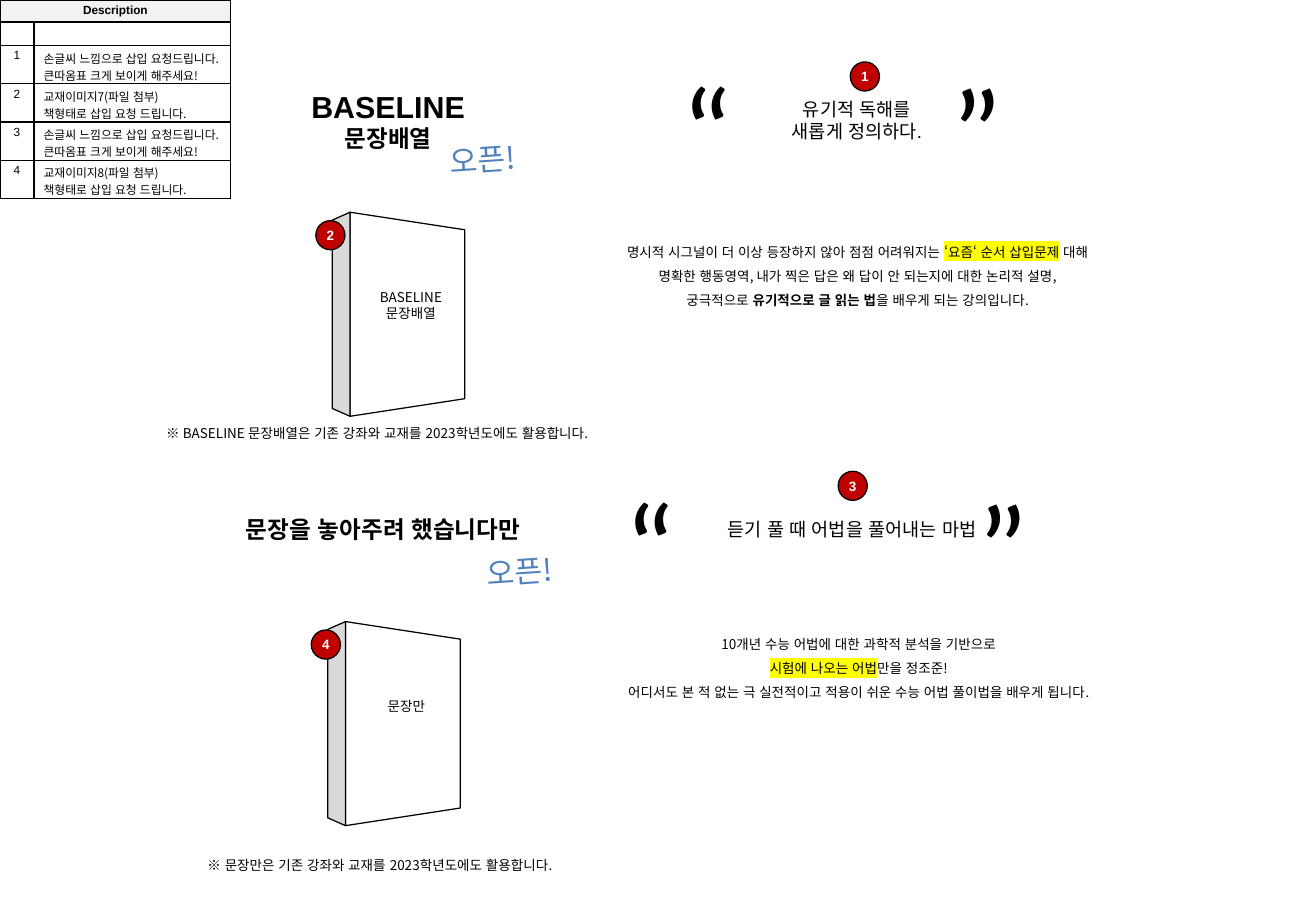
import pptx
import pptx.dml.color
import pptx.enum.lang
import pptx.enum.shapes
import pptx.enum.text
import pptx.oxml.ns
import pptx.util
from lxml import etree

Pt = pptx.util.Pt
RGB = pptx.dml.color.RGBColor
SHAPE = pptx.enum.shapes.MSO_SHAPE
ALIGN = pptx.enum.text.PP_ALIGN
qn = pptx.oxml.ns.qn

BLACK, WHITE = RGB(0, 0, 0), RGB(255, 255, 255)
RED, BLUE, YELLOW = RGB(0xC0, 0, 0), RGB(0x4F, 0x81, 0xBD), RGB(255, 255, 0)
GREY, PALE = RGB(0xD9, 0xD9, 0xD9), RGB(0xF2, 0xF2, 0xF2)
KOREAN = "Noto Sans CJK KR"
ROW_STEP = 242.64
QUOTE_NOTE = "손글씨 느낌으로 삽입 요청드립니다.\n큰따옴표 크게 보이게 해주세요!"
BOOK_NOTE = "교재이미지{}(파일 첨부)\n책형태로 삽입 요청 드립니다."
NOTES = [QUOTE_NOTE, BOOK_NOTE.format(7), QUOTE_NOTE, BOOK_NOTE.format(8)]


def style_run(r, size, font=KOREAN, color=BLACK, bold=False, highlight=None):
    """Set the fonts, colour, language and highlight of a run."""
    r.font.size, r.font.name, r.font.bold = Pt(size), font, bold
    r.font.color.rgb = color
    if font != "Calibri":
        r.font.language_id = pptx.enum.lang.MSO_LANGUAGE_ID.KOREAN
    latin = r.font._element.find(qn("a:latin"))
    latin.addnext(etree.Element(qn("a:ea"), typeface=KOREAN if font == "Arial" else font))
    if highlight is not None:
        mark = etree.Element(qn("a:highlight"))
        etree.SubElement(mark, qn("a:srgbClr"), val=str(highlight))
        latin.addprevious(mark)


def format_text(tf, size, align=ALIGN.CENTER, spacing=None, **style):
    """Format every paragraph and run of a text frame."""
    for p in tf.paragraphs:
        p.alignment, p.line_spacing = align, spacing
        for r in p.runs:
            style_run(r, size, **style)


def set_insets(target, left=0, top=0, right=0, bottom=0):
    """Set the inner margins of a text frame or table cell."""
    target.margin_left, target.margin_top = Pt(left), Pt(top)
    target.margin_right, target.margin_bottom = Pt(right), Pt(bottom)


def add_text(slide, text, x, y, w, h, size, **style):
    """Add a wrapping text box."""
    sp = slide.shapes.add_textbox(Pt(x), Pt(y), Pt(w), Pt(h))
    sp.text_frame.word_wrap = True
    sp.text_frame.text = text
    format_text(sp.text_frame, size, **style)
    return sp


def center_text(sp):
    """Anchor the text of a shape in its middle without insets."""
    sp.text_frame.vertical_anchor = pptx.enum.text.MSO_ANCHOR.MIDDLE
    set_insets(sp.text_frame)


def add_heading(slide, text, x, y, size, bold=False):
    """Add a vertically centred heading box."""
    center_text(add_text(slide, text, x, y, 212.4, 79.2, size, font="Arial", bold=bold))


def set_title(slide, text, x, y):
    """Place and format the slide title."""
    sp = slide.shapes.title
    sp.left, sp.top, sp.width, sp.height = Pt(x), Pt(y), Pt(212.4), Pt(79.2)
    sp.text_frame.text = text
    sp.text_frame.auto_size = pptx.enum.text.MSO_AUTO_SIZE.NONE
    center_text(sp)
    format_text(sp.text_frame, 14, font="Arial", bold=True)
    sp.text_frame.paragraphs[0].runs[0].font.size = Pt(18)


def add_summary(slide, lines, x, y):
    """Add centred lines, each a list of (text, run style)."""
    tf = add_text(slide, "\n" * (len(lines) - 1), x, y, 326.88, 48.96, 8, spacing=1.5).text_frame
    for p, line in zip(tf.paragraphs, lines):
        for text, style in line:
            r = p.add_run()
            r.text = text
            style_run(r, 8, **style)


def add_quotes(slide, x, y, gap):
    """Add a pair of large quotation marks set apart by a tab stop."""
    sp = add_text(slide, "“\t”", x, y, 316.08, 94.32, 72, align=ALIGN.LEFT, font="Calibri")
    tabs = etree.SubElement(sp.text_frame.paragraphs[0]._p.get_or_add_pPr(), qn("a:tabLst"))
    etree.SubElement(tabs, qn("a:tab"), pos=str(int(Pt(gap))), algn="l")


def add_outlined(shapes, kind, x, y, w, h, fill):
    """Add a filled shape with a thin black outline."""
    sp = shapes.add_shape(kind, Pt(x), Pt(y), Pt(w), Pt(h))
    sp.shadow.inherit = False
    sp.fill.solid()
    sp.fill.fore_color.rgb = fill
    sp.line.color.rgb, sp.line.width = BLACK, Pt(0.75)
    return sp


def add_badge(slide, number, x, y):
    """Add a numbered red circle."""
    sp = add_outlined(slide.shapes, SHAPE.OVAL, x, y, 17.28, 17.28, RED)
    sp.text_frame.text = str(number)
    center_text(sp)
    format_text(sp.text_frame, 8, font="Arial", color=WHITE, bold=True)


def add_book(slide, x, y, h=120.96):
    """Add a book made of two trapezoids turned on their sides."""
    group = slide.shapes.add_group_shape()
    for left, w, angle, adj, fill in [(x + 10.5, 68, 90, 0.153, WHITE), (x, 10.5, 270, 0.443, GREY)]:
        sp = add_outlined(group.shapes, SHAPE.TRAPEZOID, left + (w - h) / 2, y + (h - w) / 2, h, w, fill)
        sp.rotation, sp.adjustments[0] = angle, adj


def fill_cell(cell, text, fill=WHITE, **style):
    """Write, fill and outline one table cell."""
    cell.text = text
    cell.fill.solid()
    cell.fill.fore_color.rgb = fill
    for i, side in enumerate(("lnL", "lnR", "lnT", "lnB")):
        ln = etree.Element(qn("a:" + side), w=str(int(Pt(1))))
        etree.SubElement(etree.SubElement(ln, qn("a:solidFill")), qn("a:srgbClr"), val=str(BLACK))
        cell._tc.get_or_add_tcPr().insert(i, ln)
    format_text(cell.text_frame, 7, **style)
    if not text:
        etree.SubElement(cell.text_frame.paragraphs[0]._p, qn("a:endParaRPr"), sz="700")


def add_description(slide):
    """Add the table of numbered requests."""
    heights = [13, 14] + [22.7] * len(NOTES)
    table = slide.shapes.add_table(len(heights), 2, 0, 0, Pt(136.8), Pt(sum(heights))).table
    table.first_row = table.horz_banding = False
    table.columns[0].width, table.columns[1].width = Pt(20.16), Pt(116.64)
    rows = [("Description", ""), ("", "")] + [(str(i), note) for i, note in enumerate(NOTES, 1)]
    for i, (label, note) in enumerate(rows):
        table.rows[i].height = Pt(heights[i])
        left, right = table.cell(i, 0), table.cell(i, 1)
        fill = WHITE if i else PALE
        fill_cell(left, label, fill, font="Arial", bold=i == 0)
        fill_cell(right, note, fill, align=ALIGN.LEFT)
        set_insets(left, 5, 2.16, 5)
        set_insets(right, 5.76, 2.4)
    table.cell(0, 0).merge(table.cell(0, 1))


def main():
    """Build the slide and save it."""
    prs = pptx.Presentation()
    prs.slide_width, prs.slide_height = Pt(780), Pt(540)
    slide = prs.slides.add_slide(prs.slide_layouts[5])
    marked, plain = {"highlight": YELLOW}, {}

    set_title(slide, "BASELINE\n문장배열", 123.84, 31.68)
    add_heading(slide, "유기적 독해를\n새롭게 정의하다.", 401.76, 31.68, 11)
    add_heading(slide, "문장을 놓아주려 했습니다만", 120.96, 274.32, 14, bold=True)
    add_heading(slide, "듣기 풀 때 어법을 풀어내는 마법", 398.88, 274.32, 11)
    add_summary(slide, [
        [("명시적 시그널이 더 이상 등장하지 않아 점점 어려워지는 ", plain),
         ("‘요즘‘ 순서 삽입문제", marked), (" 대해", plain)],
        [("명확한 행동영역, 내가 찍은 답은 왜 답이 안 되는지에 대한 논리적 설명,", plain)],
        [("궁극적으로 ", plain), ("유기적으로 글 읽는 법", {"bold": True}), ("을 배우게 되는 강의입니다.", plain)],
    ], 344.88, 136.08)
    add_summary(slide, [
        [("10개년 수능 어법에 대한 과학적 분석을 기반으로", plain)],
        [("시험에 나오는 어법", marked), ("만을 정조준!", plain)],
        [("어디서도 본 적 없는 극 실전적이고 적용이 쉬운 수능 어법 풀이법을 배우게 됩니다.", plain)],
    ], 345.6, 368.64)
    for x, y in [(196.56, 79.92), (218.88, 324)]:
        add_text(slide, "오픈!", x, y, 178.56, 28.8, 18, color=BLUE).rotation = 356.1
    add_description(slide)
    for name, number, dx, dy in [("BASELINE\n문장배열", 2, 0, 0), ("문장만", 4, -2.7, ROW_STEP)]:
        add_book(slide, 197 + dx, 125.8 + dy)
        add_text(slide, name, 211.2 + dx, 167.76 + dy, 64.8, 26.64, 8)
        add_badge(slide, number, 187.2 + dx, 130.8 + dy)
    for name, x, y, w in [("BASELINE 문장배열", 91.44, 248.4, 314.64), ("문장만", 115.92, 504.72, 259.2)]:
        text = f"※ {name}은 기존 강좌와 교재를 2023학년도에도 활용합니다."
        add_text(slide, text, x, y, w, 17.28, 8, align=ALIGN.LEFT)
    add_quotes(slide, 396.72, 28.08, 160)
    add_quotes(slide, 362.88, 274.32, 209.5)
    add_badge(slide, 1, 504, 36.72)
    add_badge(slide, 3, 496.8, 279.36)
    prs.save("out.pptx")


if __name__ == "__main__":
    main()
